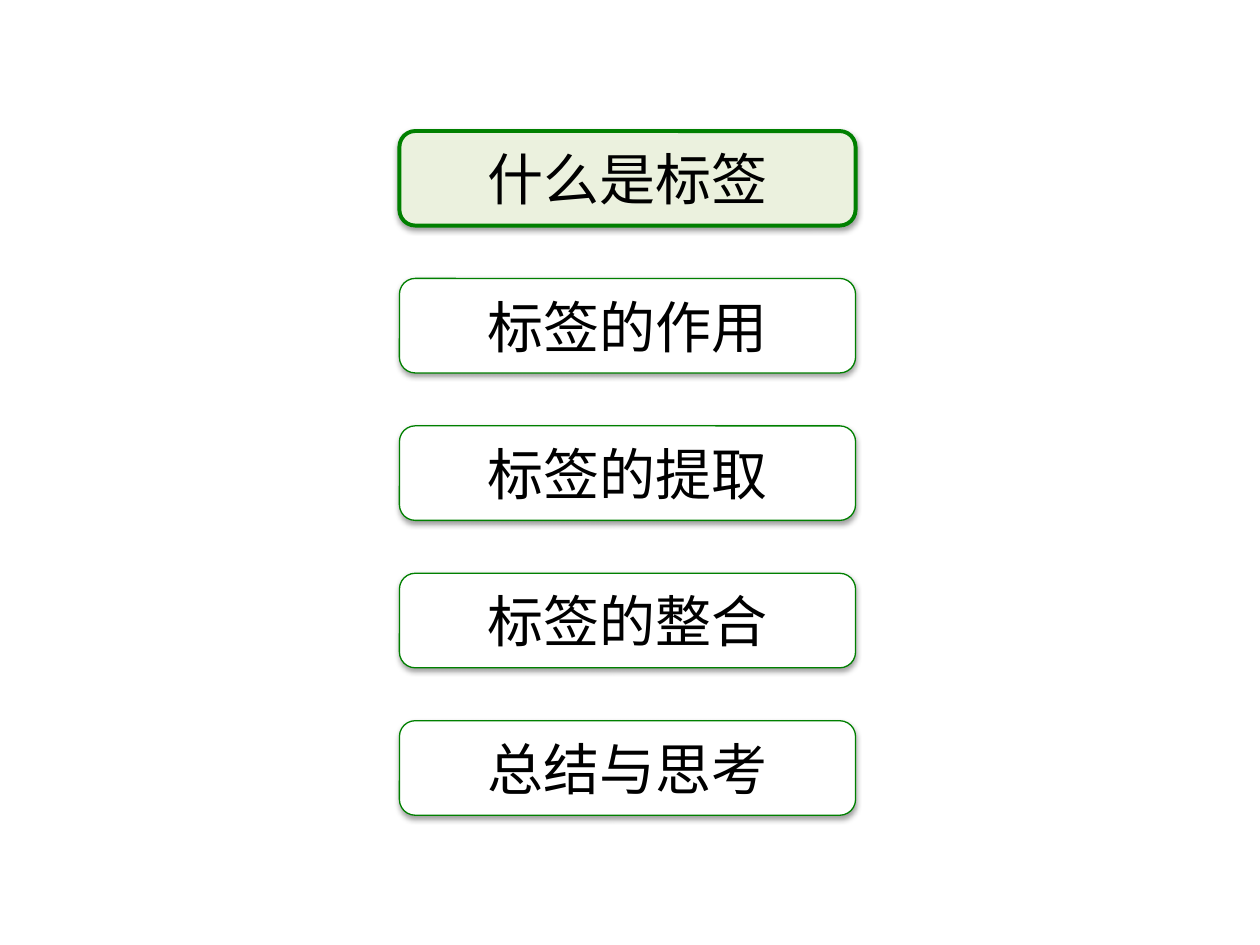
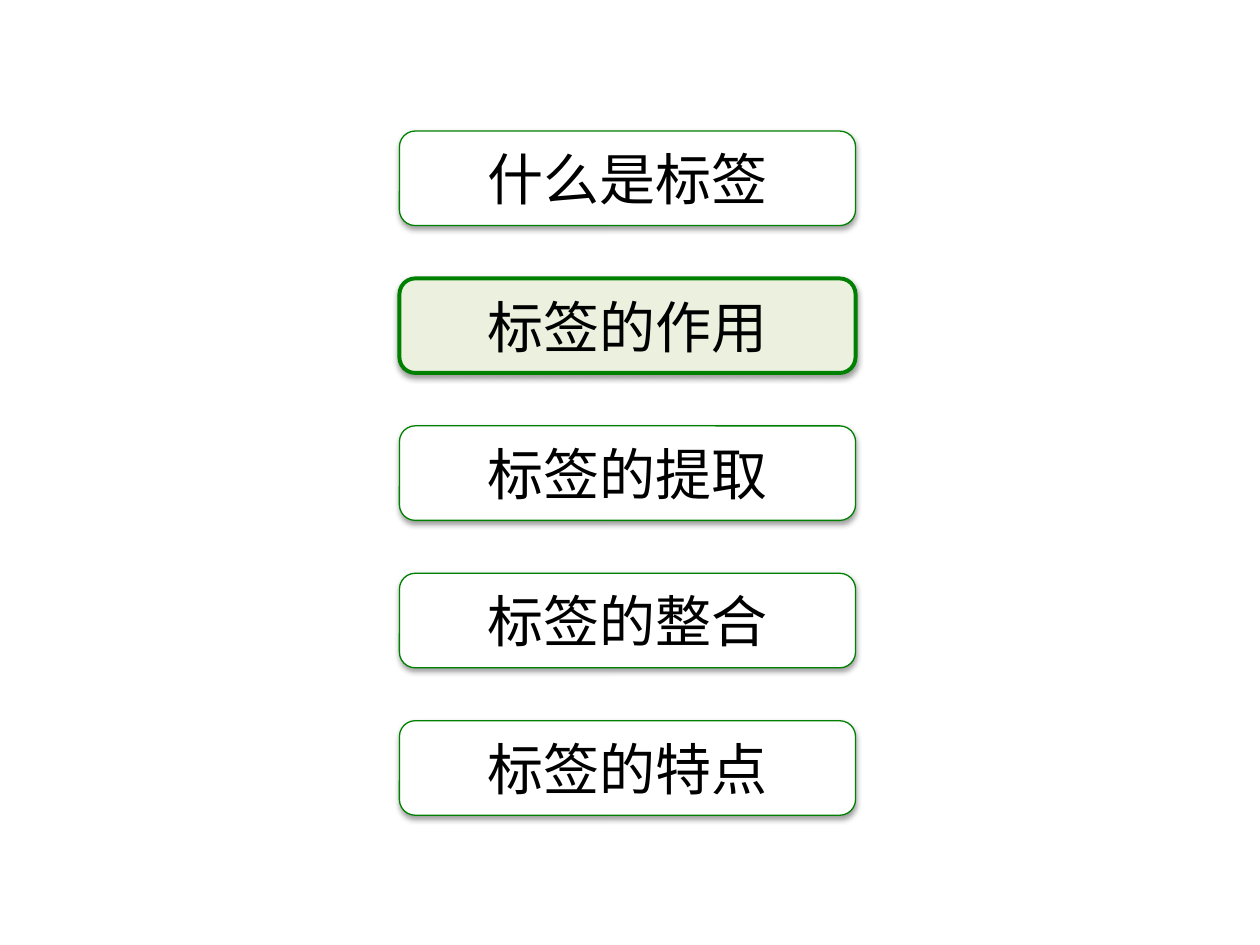
from lxml import etree
from pptx import Presentation
from pptx import util as u
from pptx.dml.color import RGBColor
from pptx.enum import shapes, text
from pptx.oxml.ns import qn

COLOURS = {"green": "008000", "pale": "EBF1DE", "white": "FFFFFF", "black": "000000"}
FONT = "Noto Sans CJK JP"
BLANK_LAYOUT = 6

# Agenda column, in inches
LEFT, TOP, WIDTH, HEIGHT, PITCH = 3.17, 1.04, 3.62, 0.75, 1.17

STYLES = {
    "current": {"fill": "pale", "line_width": 2.25},
    "other": {"fill": "white", "line_width": 0.75},
}
SHADOW = {"blurRad": u.Pt(3.15), "dist": u.Pt(1.57), "dir": 90 * 60000, "rotWithShape": 0}
SHADOW_ALPHA = 38000

TOPICS = ["什么是标签", "标签的作用", "标签的提取", "标签的整合"]
AGENDAS = [
    {"topics": TOPICS + ["总结与思考"], "current": 0},
    {"topics": TOPICS + ["标签的特点"], "current": 1},
]


def colour(name):
    return RGBColor.from_string(COLOURS[name])


def add_shadow(shape):
    shape.shadow.inherit = False
    effects = shape._element.spPr.find(qn("a:effectLst"))
    shadow = etree.SubElement(effects, qn("a:outerShdw"))
    for key, value in SHADOW.items():
        shadow.set(key, str(int(value)))
    shade = etree.SubElement(shadow, qn("a:srgbClr"), val=COLOURS["black"])
    etree.SubElement(shade, qn("a:alpha"), val=str(SHADOW_ALPHA))


def write_label(shape, label):
    frame = shape.text_frame
    frame.vertical_anchor = text.MSO_ANCHOR.MIDDLE
    paragraph = frame.paragraphs[0]
    paragraph.alignment = text.PP_ALIGN.CENTER
    run = paragraph.add_run()
    run.text = label
    for attribute, value in {"name": FONT, "size": u.Pt(32)}.items():
        setattr(run.font, attribute, value)
    run.font.color.rgb = colour("black")
    # Chinese characters take the East Asian typeface
    etree.SubElement(run._r.get_or_add_rPr(), qn("a:ea"), typeface=FONT)


def add_topic(slide, row, label, style):
    box = (LEFT, TOP + row * PITCH, WIDTH, HEIGHT)
    shape = slide.shapes.add_shape(
        shapes.MSO_SHAPE.ROUNDED_RECTANGLE, *(u.Inches(length) for length in box))
    shape.fill.solid()
    shape.fill.fore_color.rgb = colour(style["fill"])
    shape.line.color.rgb = colour("green")
    shape.line.width = u.Pt(style["line_width"])
    add_shadow(shape)
    write_label(shape, label)


def add_agenda(presentation, topics, current):
    """Add a slide that lists the topics and highlights the current one."""
    slide = presentation.slides.add_slide(presentation.slide_layouts[BLANK_LAYOUT])
    for row, label in enumerate(topics):
        add_topic(slide, row, label, STYLES["current" if row == current else "other"])


def main():
    presentation = Presentation()
    presentation.slide_width = u.Inches(10)
    presentation.slide_height = u.Inches(7.5)
    for agenda in AGENDAS:
        add_agenda(presentation, **agenda)
    presentation.save("out.pptx")


if __name__ == "__main__":
    main()
